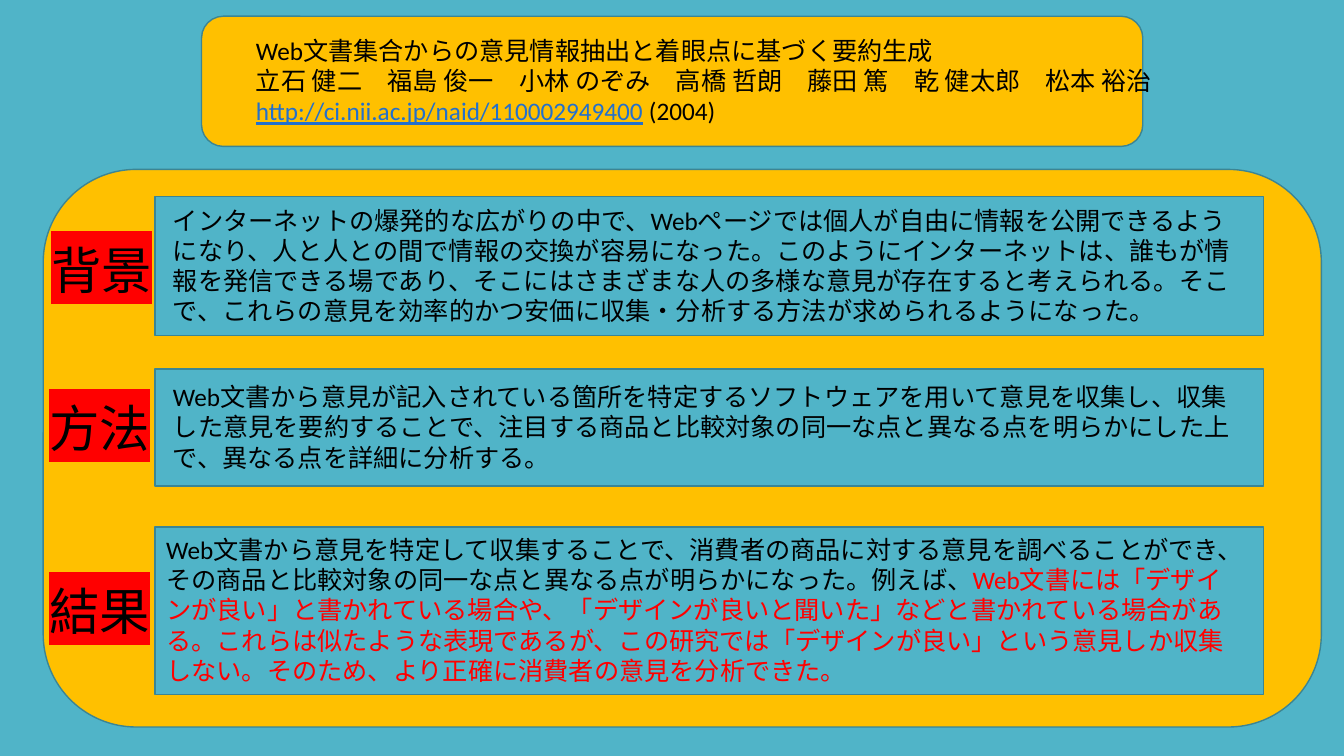
from lxml import etree
from pptx import Presentation
from pptx import util as u
from pptx.dml.color import RGBColor
from pptx.enum import shapes
from pptx.oxml.ns import qn

COLORS = {
    "teal": "50B4C8",
    "amber": "FFC000",
    "outline": "3B8594",
    "ink": "000000",
    "red": "FF0000",
    "link": "2370CD",
}
FONT = "Calibri"
BODY_SIZE, LABEL_SIZE = 18, 36
BOX_LEFT, BOX_WIDTH = 3.91, 27.94
BODY_WIDTH = 27.53
LABEL_WIDTH, LABEL_HEIGHT = 3.12, 1.8

HEADER = [
    [("Web文書集合からの意見情報抽出と着眼点に基づく要約生成", "ink")],
    [("立石 健二　福島 俊一　小林 のぞみ　高橋 哲朗　藤田 篤　乾 健太郎　松本 裕治", "ink")],
    [("http://ci.nii.ac.jp/naid/110002949400", "link"), (" (2004)", "ink")],
]

# label, label left, label top, box top, box height, body left, body height, body runs
SECTIONS = [
    ("背景", 1.04, 5.89, 4.95, 3.51, 4.11, 3.33, [
        ("インターネットの爆発的な広がりの中で、Webページでは個人が自由に情報を公開できるようになり、"
         "人と人との間で情報の交換が容易になった。このようにインターネットは、誰もが情報を発信できる場であり、"
         "そこにはさまざまな人の多様な意見が存在すると考えられる。そこで、これらの意見を効率的かつ安価に"
         "収集・分析する方法が求められるようになった。", "ink")]),
    ("方法", 0.99, 9.88, 9.3, 2.95, 4.11, 2.57, [
        ("Web文書から意見が記入されている箇所を特定するソフトウェアを用いて意見を収集し、"
         "収集した意見を要約することで、注目する商品と比較対象の同一な点と異なる点を明らかにした上で、"
         "異なる点を詳細に分析する。", "ink")]),
    ("結果", 0.99, 14.5, 13.28, 4.22, 3.94, 4.11, [
        ("Web文書から意見を特定して収集することで、消費者の商品に対する意見を調べることができ、"
         "その商品と比較対象の同一な点と異なる点が明らかになった。例えば、", "ink"),
        ("Web文書には「デザインが良い」と書かれている場合や、「デザインが良いと聞いた」などと"
         "書かれている場合がある。これらは似たような表現であるが、この研究では「デザインが良い」"
         "という意見しか収集しない。そのため、より正確に消費者の意見を分析できた。", "red")]),
]


def rgb(name):
    return RGBColor.from_string(COLORS[name])


def add_panel(slide, preset, fill, left, top, width, height):
    panel = slide.shapes.add_shape(preset, u.Cm(left), u.Cm(top), u.Cm(width), u.Cm(height))
    panel.shadow.inherit = False
    panel.fill.solid()
    panel.fill.fore_color.rgb = rgb(fill)
    panel.line.color.rgb = rgb("outline")
    panel.line.width = u.Pt(1)


def add_text(slide, lines, size, left, top, width, height):
    """Add a text box; each line is a list of (wording, colour name) runs."""
    frame = slide.shapes.add_textbox(
        u.Cm(left), u.Cm(top), u.Cm(width), u.Cm(height)).text_frame
    frame.word_wrap = True
    for index, line in enumerate(lines):
        paragraph = frame.paragraphs[0] if index == 0 else frame.add_paragraph()
        paragraph.font.name = FONT
        paragraph.font.size = u.Pt(size)
        for wording, color in line:
            run = paragraph.add_run()
            run.text = wording
            run.font.color.rgb = rgb(color)
            if color == "link":
                run.font.underline = True
    return frame


def highlight(run, color):
    marker = etree.Element(qn("a:highlight"))
    etree.SubElement(marker, qn("a:srgbClr"), val=COLORS[color])
    run.font.fill._xPr.find(qn("a:solidFill")).addnext(marker)


def add_section(slide, label, label_left, label_top, box_top, box_height,
                body_left, body_height, body):
    add_panel(slide, shapes.MSO_SHAPE.RECTANGLE, "teal",
              BOX_LEFT, box_top, BOX_WIDTH, box_height)
    body_top = box_top + (box_height - body_height) / 2
    add_text(slide, [body], BODY_SIZE, body_left, body_top, BODY_WIDTH, body_height)
    heading = add_text(slide, [[(label, "ink")]], LABEL_SIZE,
                       label_left, label_top, LABEL_WIDTH, LABEL_HEIGHT)
    highlight(heading.paragraphs[0].runs[0], "red")


def main():
    deck = Presentation()
    deck.slide_width, deck.slide_height = u.Cm(33.87), u.Cm(19.05)
    slide = deck.slides.add_slide(deck.slide_layouts[6])
    slide.background.fill.solid()
    slide.background.fill.fore_color.rgb = rgb("teal")

    rounded = shapes.MSO_SHAPE.ROUNDED_RECTANGLE
    add_panel(slide, rounded, "amber", 5.08, 0.41, 23.72, 3.28)
    add_text(slide, HEADER, BODY_SIZE, 6.2, 0.76, 32.11, 2.57)
    add_panel(slide, rounded, "amber", 1.09, 4.27, 32.21, 14.05)
    for section in SECTIONS:
        add_section(slide, *section)
    deck.save("out.pptx")


if __name__ == "__main__":
    main()
